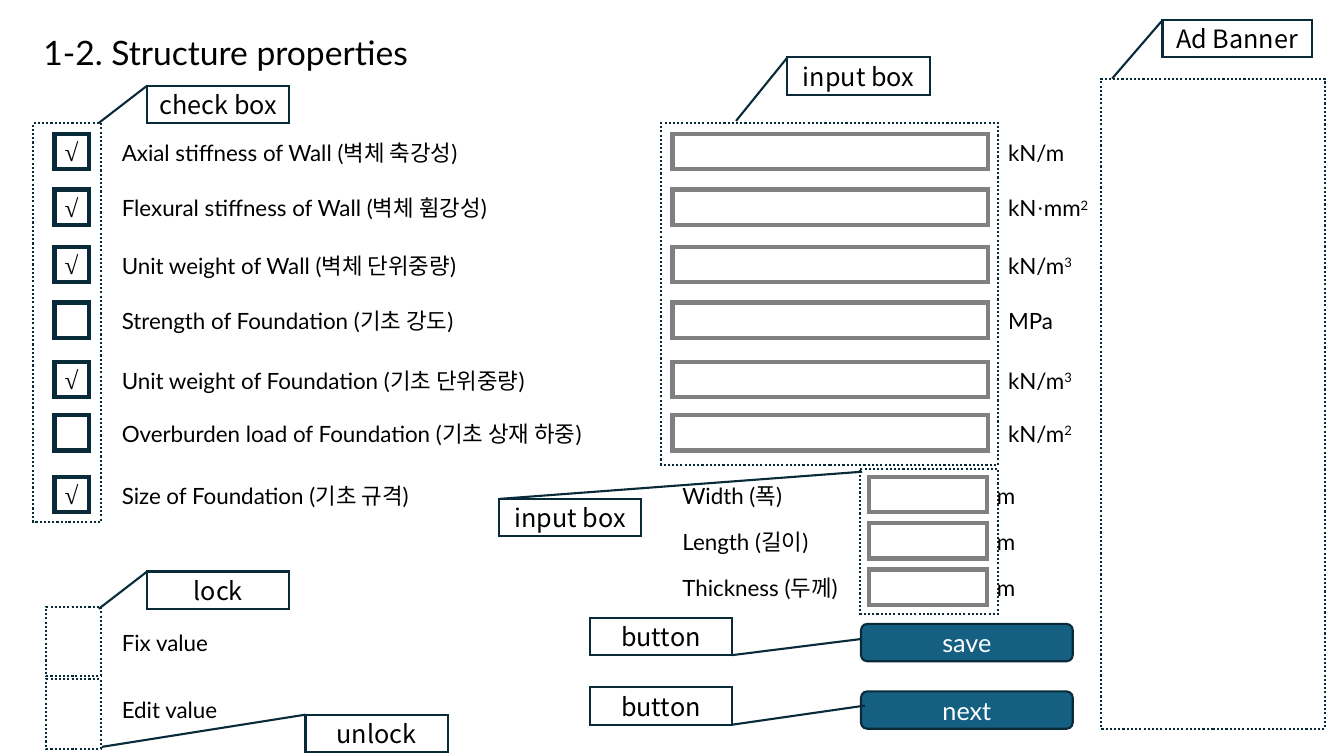
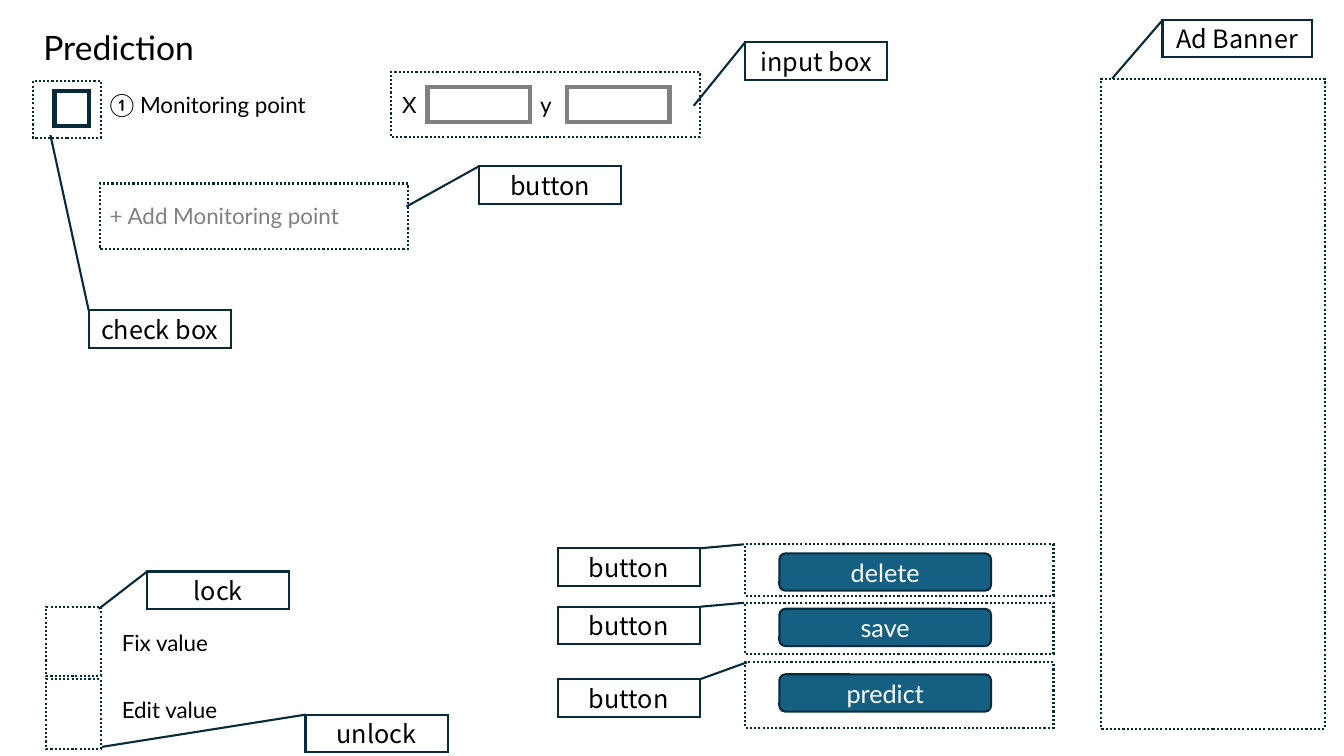
"""Build two wireframe slides of an input form: structure properties and prediction."""
from lxml.etree import SubElement
from pptx import Presentation
from pptx.dml.color import RGBColor
from pptx.enum.dml import MSO_LINE
from pptx.enum.shapes import MSO_SHAPE
from pptx.enum.text import MSO_ANCHOR, MSO_AUTO_SIZE, PP_ALIGN
from pptx.oxml.ns import qn
from pptx.util import Inches, Pt

INK, GRAY, BLUE, BLACK, WHITE = "092A39", "808080", "156082", "000000", "FFFFFF"
LATIN, KOREAN, SYMBOL = "Lato", "Noto Sans CJK KR", "Times New Roman"
TOP_LEFT, TOP_RIGHT, BOTTOM_RIGHT = (0, 0), (1, 0), (1, 1)

CHECK_LEFT, CHECK_WIDTH = 0.54, 0.34
LABEL_LEFT, LABEL_WIDTH = 1.11, 5.56
INPUT_LEFT, INPUT_RIGHT = 6.67, 9.8
SIZE_LEFT, SIZE_WIDTH = 8.62, 1.17
FIELD_HEIGHT, TEXT_HEIGHT = 0.35, 0.37
BUTTON_WIDTH, CALLOUT_WIDTH = 2.1, 1.41

PROPERTIES = [
    (1.33, True, "Axial stiffness of Wall", "벽체 축강성", [("kN/m", {})]),
    (1.88, True, "Flexural stiffness of Wall", "벽체 휨강성",
     [("kN", {}), ("·", {"font": SYMBOL}), ("mm", {}), ("2", {"raised": True})]),
    (2.45, True, "Unit weight of Wall", "벽체 단위중량", [("kN/m", {}), ("3", {"raised": True})]),
    (3, False, "Strength of Foundation", "기초 강도", [("MPa", {})]),
    (3.59, True, "Unit weight of Foundation", "기초 단위중량", [("kN/m", {}), ("3", {"raised": True})]),
    (4.12, False, "Overburden load of Foundation", "기초 상재 하중", [("kN/m", {}), ("2", {"raised": True})]),
    (4.73, True, "Size of Foundation", "기초 규격", None),
]
SIZES_TOP, SIZES_STEP = 4.73, 0.46
SIZES = [("Width", "폭"), ("Length", "길이"), ("Thickness", "두께")]

SHARED = {
    "labels": [("Fix value", LABEL_LEFT, 6.19, BLACK), ("Edit value", LABEL_LEFT, 6.86, BLACK)],
    "frames": [(0.46, 6.02, 0.54, 0.69), (0.46, 6.74, 0.54, 0.69), (10.92, 0.78, 2.22, 6.45)],
    "callouts": [
        ("lock", 1.46, 5.67, TOP_LEFT, (0.98, 6.04)),
        ("unlock", 3.03, 7.09, TOP_LEFT, (1.01, 7.41)),
        ("Ad Banner", 11.53, 0.2, TOP_LEFT, (11.03, 0.78)),
    ],
}
STRUCTURE = {
    "labels": [],
    "frames": [(0.33, 1.22, 0.67, 3.96), (6.56, 1.22, 3.34, 3.39), (8.53, 4.65, 1.37, 1.44)],
    "buttons": [("save", 8.54, 6.19), ("next", 8.54, 6.86)],
    "callouts": [
        ("check box", 1.46, 0.85, TOP_LEFT, (0.98, 1.22)),
        ("input box", 7.81, 0.57, TOP_LEFT, (7.3, 1.2)),
        ("input box", 4.95, 4.95, TOP_LEFT, (8.55, 4.68)),
        ("button", 5.85, 6.13, BOTTOM_RIGHT, (8.54, 6.34)),
        ("button", 5.85, 6.82, BOTTOM_RIGHT, (8.58, 7)),
    ],
}
PREDICTION = {
    "labels": [("① Monitoring point", 0.99, 0.86, BLACK), ("+ Add Monitoring point", 0.99, 1.96, GRAY)],
    "frames": [
        (0.33, 0.8, 0.67, 0.57), (3.88, 0.71, 3.06, 0.65), (0.99, 1.82, 3.06, 0.65),
        (7.39, 5.4, 3.06, 0.51), (7.39, 5.98, 3.06, 0.51), (7.39, 6.57, 3.06, 0.65),
    ],
    "buttons": [("delete", 7.73, 5.49), ("save", 7.73, 6.04), ("predict", 7.73, 6.69)],
    "callouts": [
        ("input box", 7.39, 0.42, TOP_LEFT, (6.88, 1.05)),
        ("button", 4.75, 1.65, TOP_LEFT, (4.03, 2.05)),
        ("check box", 0.88, 3.08, TOP_LEFT, (0.5, 1.34)),
        ("button", 5.53, 5.44, TOP_RIGHT, (7.38, 5.4)),
        ("button", 5.53, 6.02, TOP_RIGHT, (7.38, 5.98)),
        ("button", 5.53, 6.74, TOP_RIGHT, (7.41, 6.57)),
    ],
}
COORDINATES = [("X", 3.89, 4.24), ("y", 5.26, 5.62)]


def color(value):
    """Turn a hex string into a colour."""
    return RGBColor.from_string(value)


def write(shape, text, font=LATIN, size=16, fill=BLACK, align=PP_ALIGN.LEFT, anchor=MSO_ANCHOR.TOP):
    """Write a string, or a list of (string, options) runs, into a shape."""
    frame = shape.text_frame
    frame.word_wrap = True
    frame.auto_size = MSO_AUTO_SIZE.NONE
    frame.vertical_anchor = anchor
    paragraph = frame.paragraphs[0]
    paragraph.alignment = align
    for piece, options in [(text, {})] if isinstance(text, str) else text:
        run = paragraph.add_run()
        run.text = piece
        run.font.size = Pt(size)
        run.font.color.rgb = color(fill)
        run.font.name = options.get("font", font)
        properties = run.font._element
        east_asian = SYMBOL if run.font.name == SYMBOL else KOREAN
        SubElement(properties, qn("a:ea")).set("typeface", east_asian)
        if options.get("raised"):
            properties.set("baseline", "30000")


def add_label(slide, text, left, top, width=LABEL_WIDTH, fill=BLACK):
    """Add a text box holding one line."""
    box = slide.shapes.add_textbox(Inches(left), Inches(top), Inches(width), Inches(TEXT_HEIGHT))
    write(box, text, fill=fill)


def bilingual(english, korean):
    """Return the runs of an English name followed by its Korean name."""
    return [(f"{english} (", {}), (korean, {"font": KOREAN}), (")", {})]


def add_box(slide, left, top, width, height, kind=MSO_SHAPE.RECTANGLE, line=INK, weight=1.5, fill=None, dash=None):
    """Add an outlined preset shape."""
    shape = slide.shapes.add_shape(kind, Inches(left), Inches(top), Inches(width), Inches(height))
    shape.shadow.inherit = False
    if fill:
        shape.fill.solid()
        shape.fill.fore_color.rgb = color(fill)
    else:
        shape.fill.background()
    shape.line.color.rgb = color(line)
    shape.line.width = Pt(weight)
    if dash:
        shape.line.dash_style = dash
    SubElement(shape.line._get_or_add_ln(), qn("a:miter")).set("lim", "800000")
    return shape


def add_input(slide, left, top, width):
    """Add a grey input field."""
    add_box(slide, left, top, width, FIELD_HEIGHT, line=GRAY, weight=3)


def add_check(slide, top, checked):
    """Add a check box."""
    shape = add_box(slide, CHECK_LEFT, top, CHECK_WIDTH, FIELD_HEIGHT, weight=3)
    if checked:
        write(shape, "√", font=SYMBOL, size=18, align=PP_ALIGN.CENTER, anchor=MSO_ANCHOR.MIDDLE)


def add_button(slide, text, left, top):
    """Add a filled rounded button."""
    shape = add_box(slide, left, top, BUTTON_WIDTH, TEXT_HEIGHT, MSO_SHAPE.ROUNDED_RECTANGLE, fill=BLUE)
    write(shape, text, size=18, fill=WHITE, align=PP_ALIGN.CENTER, anchor=MSO_ANCHOR.MIDDLE)


def add_callout(slide, text, left, top, corner, target):
    """Add a callout whose line runs from a corner to a target point."""
    width = 1.48 if text == "Ad Banner" else CALLOUT_WIDTH
    shape = add_box(slide, left, top, width, TEXT_HEIGHT, MSO_SHAPE.LINE_CALLOUT_1)
    ends = (corner[1], corner[0], (target[1] - top) / TEXT_HEIGHT, (target[0] - left) / width)
    for index, value in enumerate(ends):
        shape.adjustments[index] = value
    write(shape, text, font=KOREAN, size=18, align=PP_ALIGN.CENTER, anchor=MSO_ANCHOR.MIDDLE)


def add_form(presentation, title, title_top, content):
    """Add a slide with its title, the shared parts and its own parts."""
    slide = presentation.slides.add_slide(presentation.slide_layouts[5])
    heading = slide.shapes.title
    heading.left, heading.top = Inches(0.33), Inches(title_top)
    heading.width, heading.height = Inches(6.34), Inches(0.5)
    write(heading, title, size=24)
    for text, left, top, fill in SHARED["labels"] + content["labels"]:
        add_label(slide, text, left, top, fill=fill)
    for frame in SHARED["frames"] + content["frames"]:
        add_box(slide, *frame, dash=MSO_LINE.ROUND_DOT)
    for button in content["buttons"]:
        add_button(slide, *button)
    for callout in SHARED["callouts"] + content["callouts"]:
        add_callout(slide, *callout)
    return slide


def add_structure(presentation):
    """Build the structure properties slide."""
    slide = add_form(presentation, "1-2. Structure properties", 0.27, STRUCTURE)
    for top, checked, english, korean, unit in PROPERTIES:
        add_check(slide, top, checked)
        add_label(slide, bilingual(english, korean), LABEL_LEFT, top)
        if unit:
            add_input(slide, INPUT_LEFT, top, INPUT_RIGHT - INPUT_LEFT)
            add_label(slide, unit, 9.9, top, 1.49)
    for index, names in enumerate(SIZES):
        top = SIZES_TOP + index * SIZES_STEP
        add_label(slide, bilingual(*names), INPUT_LEFT, top, 1.88)
        add_input(slide, SIZE_LEFT, top, SIZE_WIDTH)
        add_label(slide, "m", SIZE_LEFT + SIZE_WIDTH, top, 0.77)


def add_prediction(presentation):
    """Build the prediction slide."""
    slide = add_form(presentation, "Prediction", 0.22, PREDICTION)
    add_check(slide, 0.9, False)
    for name, name_left, field_left in COORDINATES:
        add_label(slide, name, name_left, 0.86, 0.33)
        add_input(slide, field_left, 0.86, 1.02)


def main():
    """Build and save the presentation."""
    presentation = Presentation()
    presentation.slide_width, presentation.slide_height = Inches(13.33), Inches(7.5)
    add_structure(presentation)
    add_prediction(presentation)
    presentation.save("out.pptx")


if __name__ == "__main__":
    main()
